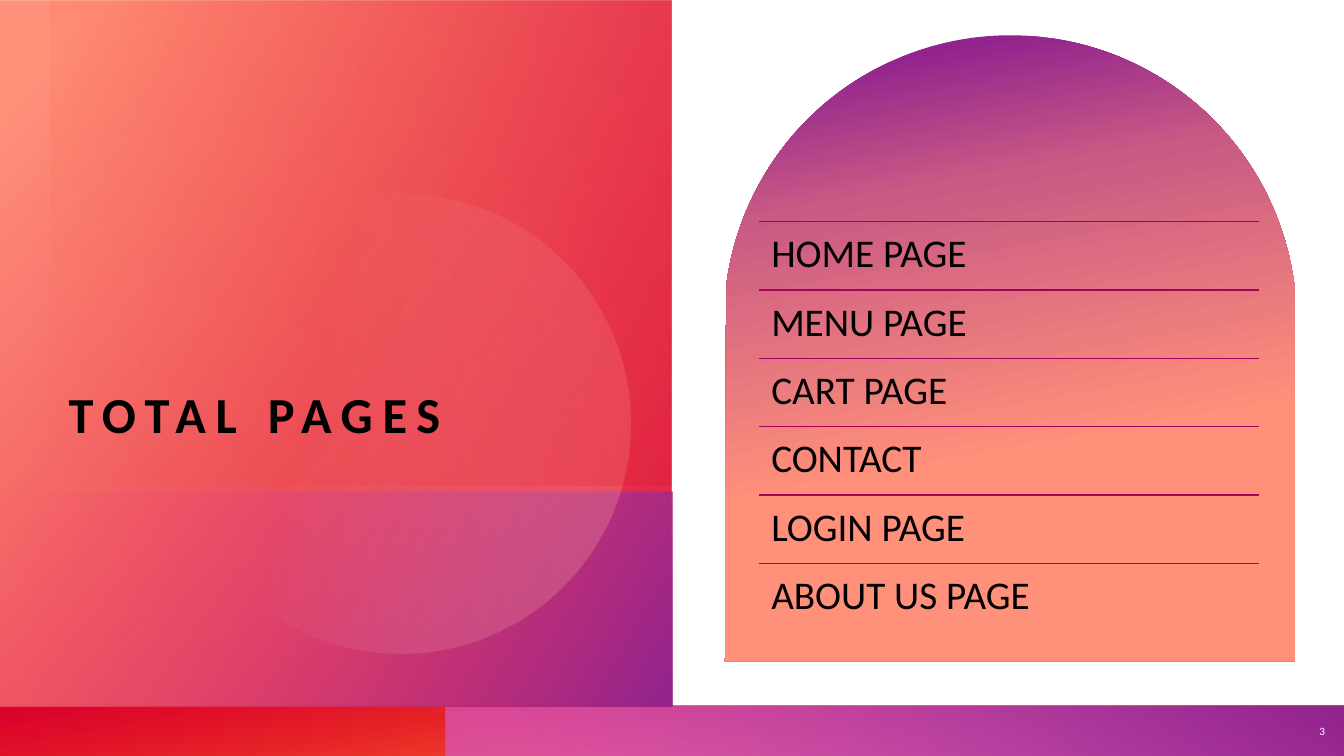
from math import cos, radians, sin

from lxml.etree import SubElement
from pptx import Presentation
from pptx.dml.color import RGBColor
from pptx.enum.shapes import MSO_CONNECTOR, MSO_SHAPE
from pptx.enum.text import MSO_ANCHOR, MSO_AUTO_SIZE, PP_ALIGN
from pptx.oxml import parse_xml
from pptx.oxml.ns import nsdecls, qn
from pptx.util import Inches, Pt

PAGES = ["HOME PAGE", "MENU PAGE", "CART PAGE", "CONTACT", "LOGIN PAGE", "ABOUT US PAGE"]
RED = [(14, "FE4A00", 28), (100, "DA002F", 85)]
PURPLE = [(9, "D861D4", 55), (99, "92248E", 100)]
PEACH = [(8, "FF907A", 100), (100, "DA002F", 89)]
PLUM = [(0, "FF5076", 0), (99, "92248E", 100)]
GLOW = [(0, "DA002F", 29), (100, "FE4A00", 0)]
DISC = [(34, "FFFFFF", 0), (100, "FF907A", 35)]
ARCH = [(7, "92248E", 100), (26, "C95A84", 100), (65, "FF907A", 100)]


def color(code):
    return RGBColor.from_string(code)


def shade(shape, stops, angle):
    shape.shadow.inherit = False
    shape.line.fill.background()
    shape.fill.background()
    marks = "".join(
        f'<a:gs pos="{pos * 1000}"><a:srgbClr val="{code}">'
        f'<a:alpha val="{alpha * 1000}"/></a:srgbClr></a:gs>'
        for pos, code, alpha in stops
    )
    grad = parse_xml(
        f'<a:gradFill {nsdecls("a")} rotWithShape="1"><a:gsLst>{marks}</a:gsLst>'
        f'<a:lin ang="{angle * 60000}" scaled="0"/></a:gradFill>'
    )
    props = shape._element.spPr
    props.replace(props.find(qn("a:noFill")), grad)


def turn(shape, angle, flip):
    shape.rotation = angle
    if flip:
        shape._element.spPr.xfrm.set("flipH", "1")


def add_panel(slide, box, stops, angle, spin=0):
    rect = slide.shapes.add_shape(MSO_SHAPE.RECTANGLE, *map(Inches, box))
    shade(rect, stops, angle)
    turn(rect, spin, True)


def add_round(slide, hub, radius, angles, corners, stops, angle, spin, flip):
    rim = [
        (hub[0] + radius * cos(radians(deg)), hub[1] + radius * sin(radians(deg)))
        for deg in angles
    ]
    dots = [(Inches(left), Inches(top)) for left, top in rim + corners]
    pen = slide.shapes.build_freeform(*dots[0])
    pen.add_line_segments(dots[1:], close=True)
    shape = pen.convert_to_shape()
    lines = list(shape._element.iter(qn("a:lnTo")))
    for line, start, end in zip(lines, angles, angles[1:]):
        bend = parse_xml(
            f'<a:arcTo {nsdecls("a")} wR="{Inches(radius)}" hR="{Inches(radius)}" '
            f'stAng="{start % 360 * 60000}" swAng="{(end - start) * 60000}"/>'
        )
        line.getparent().replace(line, bend)
    shade(shape, stops, angle)
    turn(shape, spin, flip)


def add_rule(slide, left, right, top):
    rule = slide.shapes.add_connector(
        MSO_CONNECTOR.STRAIGHT, Inches(left), Inches(top), Inches(right), Inches(top)
    )
    rule.line.color.rgb = color("A6025C")
    rule.line.width = Pt(1)
    SubElement(rule._element.spPr, qn("a:effectLst"))


def set_text(shape, text, size, code, inset, anchor, align=PP_ALIGN.LEFT):
    frame = shape.text_frame
    frame.text = text
    frame.word_wrap = True
    frame.auto_size = MSO_AUTO_SIZE.NONE
    frame.vertical_anchor = anchor
    frame.margin_left = frame.margin_right = Inches(inset)
    frame.margin_top = frame.margin_bottom = Inches(inset)
    line = frame.paragraphs[0]
    line.alignment = align
    run = line.runs[0]
    run.font.name = "Calibri"
    run.font.size = Pt(size)
    run.font.color.rgb = color(code)
    return line


def add_label(slide, box, *style):
    label = slide.shapes.add_textbox(*map(Inches, box))
    return set_text(label, *style)


def add_title(slide, text):
    title = slide.shapes.title
    title.left, title.top = Inches(0.68), Inches(0.21)
    title.width, title.height = Inches(5.71), Inches(4.19)
    line = set_text(title, text, 36, "000000", 0, MSO_ANCHOR.BOTTOM)
    run = line.runs[0]
    run.font.bold = True
    run._r.get_or_add_rPr().set("spc", "700")
    slide.shapes._spTree.append(title._element)


def add_list(slide, pages):
    left, right, top, last = 7.53, 12.49, 2.2, 5.59
    pitch = (last - top) / (len(pages) - 1)
    for row, page in enumerate(pages):
        head = top + row * pitch
        add_rule(slide, left, right, head)
        box = (left, head, right - left, pitch)
        line = add_label(slide, box, page, 28, "000000", 0.12, MSO_ANCHOR.TOP)
        line.line_spacing = 0.9


def main():
    deck = Presentation()
    deck.slide_width, deck.slide_height = Inches(13.33), Inches(7.5)
    slide = deck.slides.add_slide(deck.slide_layouts[5])

    for top in (7, 7.01, 7.01):
        add_panel(slide, (0, top, 13.33, 0.5), RED, 100, 180)
        add_panel(slide, (4.42, top, 8.92, 0.5), PURPLE, 240)

    add_panel(slide, (-0.17, 0.18, 7, 6.66), PEACH, 50, 270)
    add_panel(slide, (2.27, 2.61, 2.13, 6.66), PLUM, 60, 270)
    rim = [-118, -90, 0, 90, 150]
    add_round(slide, (3.97, 4.16), 2.28, rim, [], DISC, 30, 343.9, False)
    add_panel(slide, (1.18, -0.67, 4.81, 6.16), GLOW, 110, 90)

    feet = [(13.12, 0.63), (13.12, 6.28)]
    add_round(slide, (9.75, 3.46), 2.84, [97, 180, 263], feet, ARCH, 10, 270, True)

    add_title(slide, "TOTAL PAGES")
    add_list(slide, PAGES)
    add_label(
        slide, (12.76, 7.01, 0.48, 0.49), "3", 8, "FFFFFF", 0.1, MSO_ANCHOR.MIDDLE, PP_ALIGN.RIGHT
    )
    deck.save("out.pptx")


if __name__ == "__main__":
    main()
